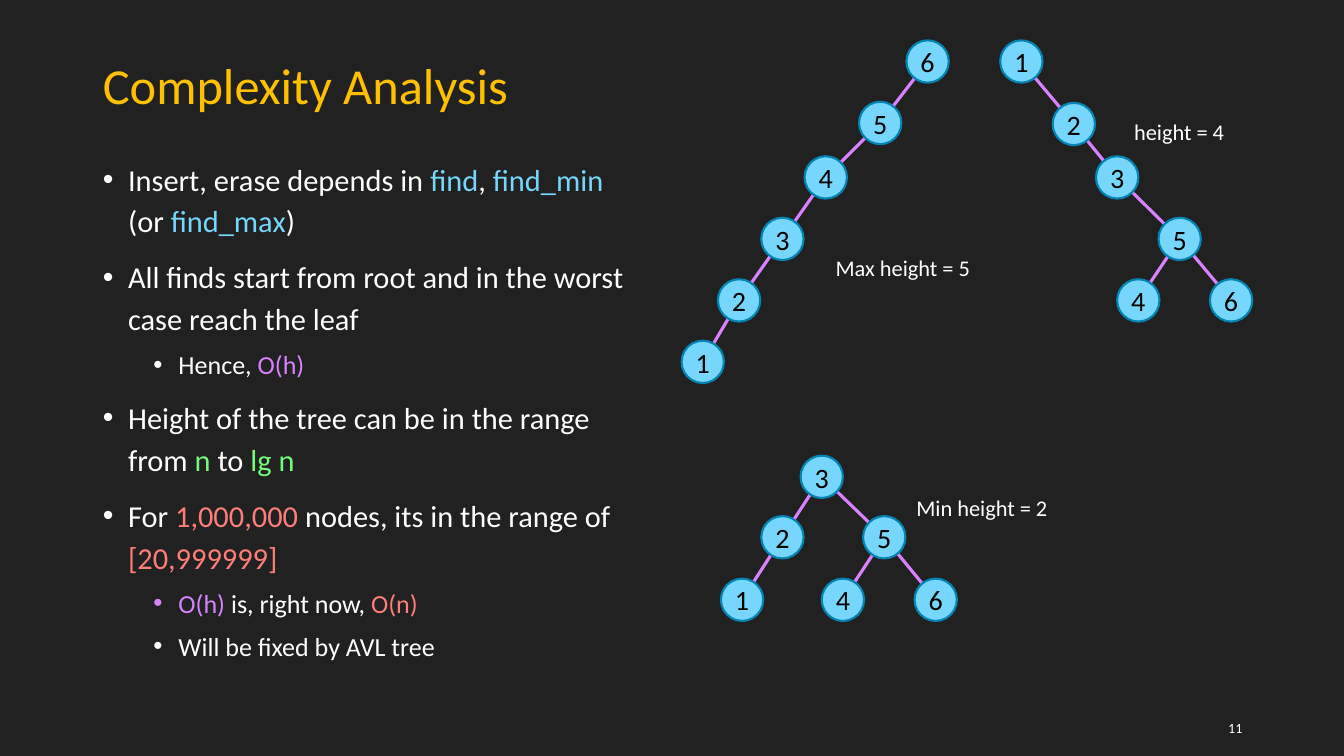
from lxml import etree
from pptx import Presentation
from pptx.dml.color import RGBColor
from pptx.enum import shapes, text
from pptx.oxml.ns import qn
from pptx.util import Inches, Pt

COLORS = {
    "background": "212121", "title": "FFC000", "white": "FFFFFF", "black": "000000",
    "blue": "76D6FB", "outline": "0583B3", "purple": "D783FF",
    "green": "73FA79", "red": "FF7E79",
}
NODE = 0.42  # node diameter

# Body: (level, [(text, colour), ...])
BULLETS = [
    (0, [("Insert, erase depends in ", "white"), ("find", "blue"), (", ", "white"),
         ("find_min ", "blue"), ("(or ", "white"), ("find_max", "blue"), (")", "white")]),
    (0, [("All finds start from root and in the worst case reach the leaf", "white")]),
    (1, [("Hence, ", "white"), ("O(h)", "purple")]),
    (0, [("Height of the tree can be in the range from ", "white"), ("n", "green"),
         (" to ", "white"), ("lg n", "green")]),
    (0, [("For ", "white"), ("1,000,000", "red"),
         (" nodes, its in the range of ", "white"), ("[20,999999]", "red")]),
    (1, [("O(h) ", "purple"), ("is, right now, ", "white"), ("O(n)", "red")]),
    (1, [("Will be fixed by AVL tree", "white")]),
]

# Trees: node centres by key, then (parent, child) edges
TREES = [
    ({6: (9.2, 0.61), 5: (8.73, 1.22), 4: (8.19, 1.76),
      3: (7.76, 2.37), 2: (7.33, 2.98), 1: (6.97, 3.59)},
     [(6, 5), (5, 4), (4, 3), (3, 2), (2, 1)]),
    ({1: (10.13, 0.61), 2: (10.65, 1.23), 3: (11.08, 1.76),
      5: (11.7, 2.37), 4: (11.29, 2.98), 6: (12.21, 2.98)},
     [(1, 2), (2, 3), (3, 5), (5, 4), (5, 6)]),
    ({3: (8.15, 4.73), 2: (7.76, 5.33), 5: (8.77, 5.33),
      1: (7.36, 5.95), 4: (8.36, 5.95), 6: (9.28, 5.95)},
     [(3, 2), (3, 5), (2, 1), (5, 4), (5, 6)]),
]

# Text boxes: text, left, top, width, height, size, alignment, anchor
LEFT, RIGHT = text.PP_ALIGN.LEFT, text.PP_ALIGN.RIGHT
TOP, MIDDLE = text.MSO_ANCHOR.TOP, text.MSO_ANCHOR.MIDDLE
LABELS = [
    ("Max height = 5", 8.19, 2.47, 1.63, 0.37, 16, LEFT, TOP),
    ("Min height = 2", 8.99, 4.85, 1.63, 0.37, 16, LEFT, TOP),
    ("height = 4", 11.15, 1.12, 1.63, 0.37, 16, LEFT, TOP),
    ("11", 9.42, 7.1, 3, 0.25, 10, RIGHT, MIDDLE),
]


def rgb(name):
    return RGBColor.from_string(COLORS[name])


def add_run(p, words, size, color):
    r = p.add_run()
    r.text = words
    r.font.name = "Calibri"
    r.font.size = Pt(size)
    r.font.color.rgb = rgb(color)


prs = Presentation()
prs.slide_width, prs.slide_height = Inches(13.33), Inches(7.5)
s = prs.slides.add_slide(prs.slide_layouts[1])
s.background.fill.solid()
s.background.fill.fore_color.rgb = rgb("background")

# Title
title, body = s.shapes.title, s.placeholders[1]
title.left, title.top = Inches(0.92), Inches(0.4)
title.width, title.height = Inches(11.5), Inches(0.95)
tf = title.text_frame
tf.auto_size = text.MSO_AUTO_SIZE.NONE
tf.vertical_anchor = MIDDLE
p = tf.paragraphs[0]
p.alignment = LEFT
p.line_spacing = 0.9
add_run(p, "Complexity Analysis", 36, "title")

# Bulleted list
body.left, body.top = Inches(0.92), Inches(1.49)
body.width, body.height = Inches(5.37), Inches(5.49)
tf = body.text_frame
tf.auto_size = text.MSO_AUTO_SIZE.NONE
for i, (level, runs) in enumerate(BULLETS):
    p = tf.add_paragraph() if i else tf.paragraphs[0]
    p.level = level
    p.line_spacing = 1.15
    p.space_before = Pt(5 if level else 10)
    pPr = p._p.get_or_add_pPr()
    pPr.set("marL", str(Inches(0.25 + 0.5 * level)))
    pPr.set("indent", str(Inches(-0.25)))
    etree.SubElement(pPr, qn("a:buFont")).set("typeface", "Arial")
    etree.SubElement(pPr, qn("a:buChar")).set("char", "•")
    for words, color in runs:
        add_run(p, words, 18.6 if level else 21.7, color)

# Trees, edges behind nodes
for nodes, edges in TREES:
    for parent, child in edges:
        ends = [Inches(v) for v in nodes[parent] + nodes[child]]
        edge = s.shapes.add_connector(shapes.MSO_CONNECTOR.STRAIGHT, *ends)
        edge.line.color.rgb = rgb("purple")
        edge.line.width = Pt(2.25)
        etree.SubElement(edge._element.spPr, qn("a:effectLst"))
    for key, (x, y) in nodes.items():
        sp = s.shapes.add_shape(shapes.MSO_SHAPE.OVAL, Inches(x - NODE / 2),
                                Inches(y - NODE / 2), Inches(NODE), Inches(NODE))
        sp.shadow.inherit = False
        sp.fill.solid()
        sp.fill.fore_color.rgb = rgb("blue")
        sp.line.color.rgb = rgb("outline")
        sp.line.width = Pt(1.5)
        tf = sp.text_frame
        tf.margin_left = tf.margin_right = tf.margin_top = tf.margin_bottom = 0
        tf.vertical_anchor = MIDDLE
        p = tf.paragraphs[0]
        p.alignment = text.PP_ALIGN.CENTER
        add_run(p, str(key), 20, "black")

# Height labels and slide number
for words, left, top, width, height, size, align, anchor in LABELS:
    sp = s.shapes.add_textbox(Inches(left), Inches(top), Inches(width), Inches(height))
    tf = sp.text_frame
    tf.word_wrap = True
    tf.vertical_anchor = anchor
    p = tf.paragraphs[0]
    p.alignment = align
    add_run(p, words, size, "white")

prs.save("out.pptx")
